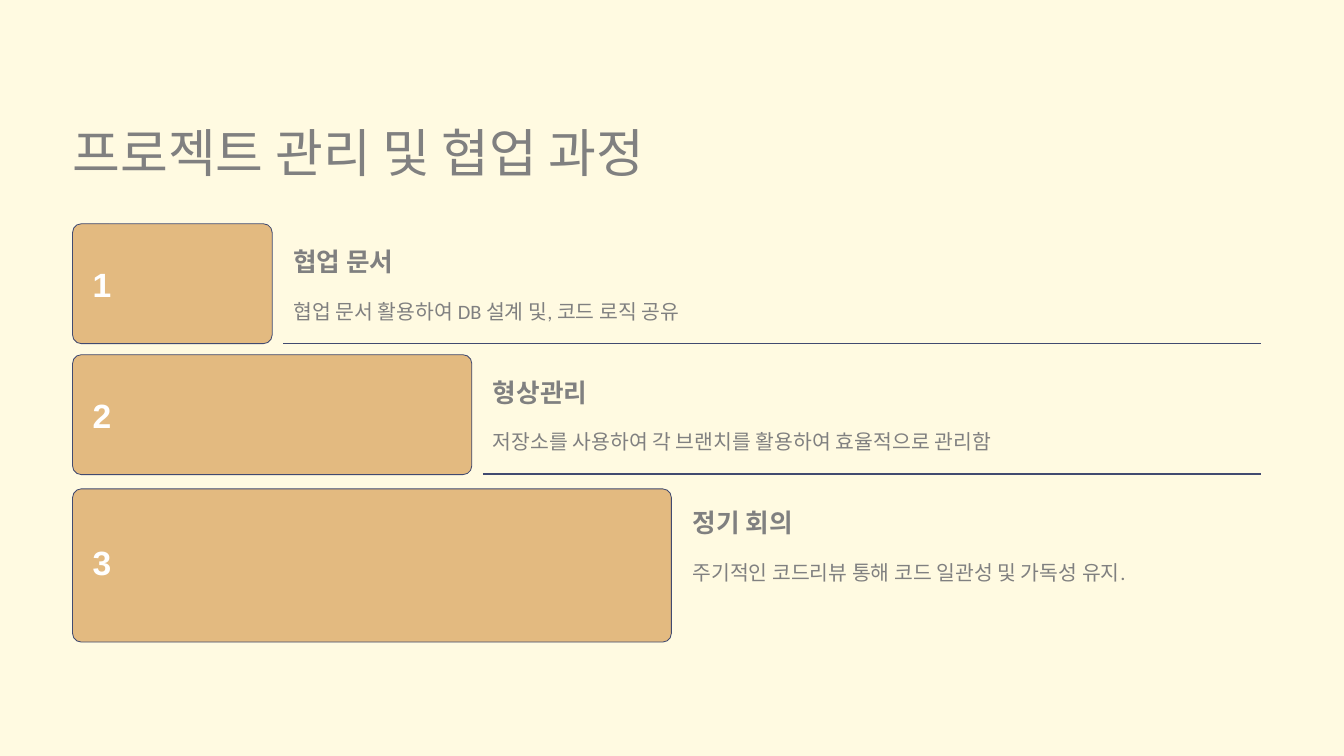
from pptx import Presentation
from pptx.dml.color import RGBColor
from pptx.enum import shapes, text
from pptx import util as u
from lxml import etree

COLORS = {"bg": "FFFAE1", "card": "E3BA80", "line": "414A70", "text": "808080", "number": "FFFFFF"}
LEFT, RIGHT, STEP = 1.83, 31.78, 5.03
ROW_TOP, ROW_PITCH = 6.17, 3.29
STEPS = [
    ("협업 문서", "협업 문서 활용하여 DB 설계 및, 코드 로직 공유", 5.64, 3.02, 6.63, 21.03),
    ("형상관리", "저장소를 사용하여 각 브랜치를 활용하여 효율적으로 관리함", 8.94, 3.02, 9.93, 18.21),
    ("정기 회의", "주기적인 코드리뷰 통해 코드 일관성 및 가독성 유지.", 12.32, 3.86, 13.64, 14.05),
]


def rgb(name):
    return RGBColor.from_string(COLORS[name])


def format_text(sp, content, size, spacing, font="Arial", color="text", bold=False,
                align=text.PP_ALIGN.LEFT, wrap=False):
    tf = sp.text_frame
    tf.text = content
    tf.auto_size = text.MSO_AUTO_SIZE.NONE
    tf.word_wrap = wrap
    tf.vertical_anchor = text.MSO_ANCHOR.TOP
    tf.margin_left = tf.margin_right = tf.margin_top = tf.margin_bottom = 0
    p = tf.paragraphs[0]
    p.alignment = align
    p.line_spacing = u.Pt(spacing)
    p.space_before = u.Pt(0)
    f = p.runs[0].font
    f.name, f.size, f.bold = font, u.Pt(size), bold
    f.color.rgb = rgb(color)


def add_title(s, content):
    sp = s.shapes.title
    sp.left, sp.top, sp.width, sp.height = u.Cm(LEFT), u.Cm(2.97), u.Cm(14.45), u.Cm(1.65)
    format_text(sp, content, 37.1, 46.2)


def add_label(s, content, x, y, w, h, size, spacing, **style):
    sp = s.shapes.add_textbox(u.Cm(x), u.Cm(y), u.Cm(w), u.Cm(h))
    format_text(sp, content, size, spacing, **style)


def add_card(s, y, w, h):
    sp = s.shapes.add_shape(shapes.MSO_SHAPE.ROUNDED_RECTANGLE, u.Cm(LEFT), u.Cm(y), u.Cm(w), u.Cm(h))
    sp.adjustments[0] = 0.22 / h
    sp.shadow.inherit = False
    sp.fill.solid()
    sp.fill.fore_color.rgb = rgb("card")
    sp.line.color.rgb = rgb("line")
    sp.line.width = u.Pt(0.6)


def add_rule(s, x, y):
    c = s.shapes.add_connector(shapes.MSO_CONNECTOR.STRAIGHT, u.Cm(x), u.Cm(y), u.Cm(RIGHT), u.Cm(y))
    c.line.color.rgb = rgb("line")
    c.line.width = u.Pt(1)
    sp_pr = c.line._get_or_add_ln().getparent()
    etree.SubElement(sp_pr, "{http://schemas.openxmlformats.org/drawingml/2006/main}effectLst")


def add_step(s, i, heading, detail, card_top, card_height, number_top, detail_width):
    width = STEP * (i + 1)
    x = LEFT + width + 0.53
    y = ROW_TOP + ROW_PITCH * i
    add_card(s, card_top, width, card_height)
    add_label(s, str(i + 1), 2.39, number_top, 0.36, 1.04, 24, 29.6,
              color="number", bold=True, align=text.PP_ALIGN.CENTER)
    add_label(s, heading, x, y, 6.55, 0.81, 18.3, 22.9, bold=True)
    last = i == len(STEPS) - 1
    add_label(s, detail, x, y + 1.14, detail_width, 1.68 if last else 0.84, 14.6, 23.8,
              font="Calibri", wrap=last)
    if not last:
        add_rule(s, x - 0.25, y + 2.48)


def main():
    prs = Presentation()
    prs.slide_width, prs.slide_height = u.Cm(33.87), u.Cm(19.05)
    s = prs.slides.add_slide(prs.slide_layouts[5])
    s.background.fill.solid()
    s.background.fill.fore_color.rgb = rgb("bg")
    add_title(s, "프로젝트 관리 및 협업 과정")
    for i, step in enumerate(STEPS):
        add_step(s, i, *step)
    prs.save("out.pptx")


if __name__ == "__main__":
    main()
